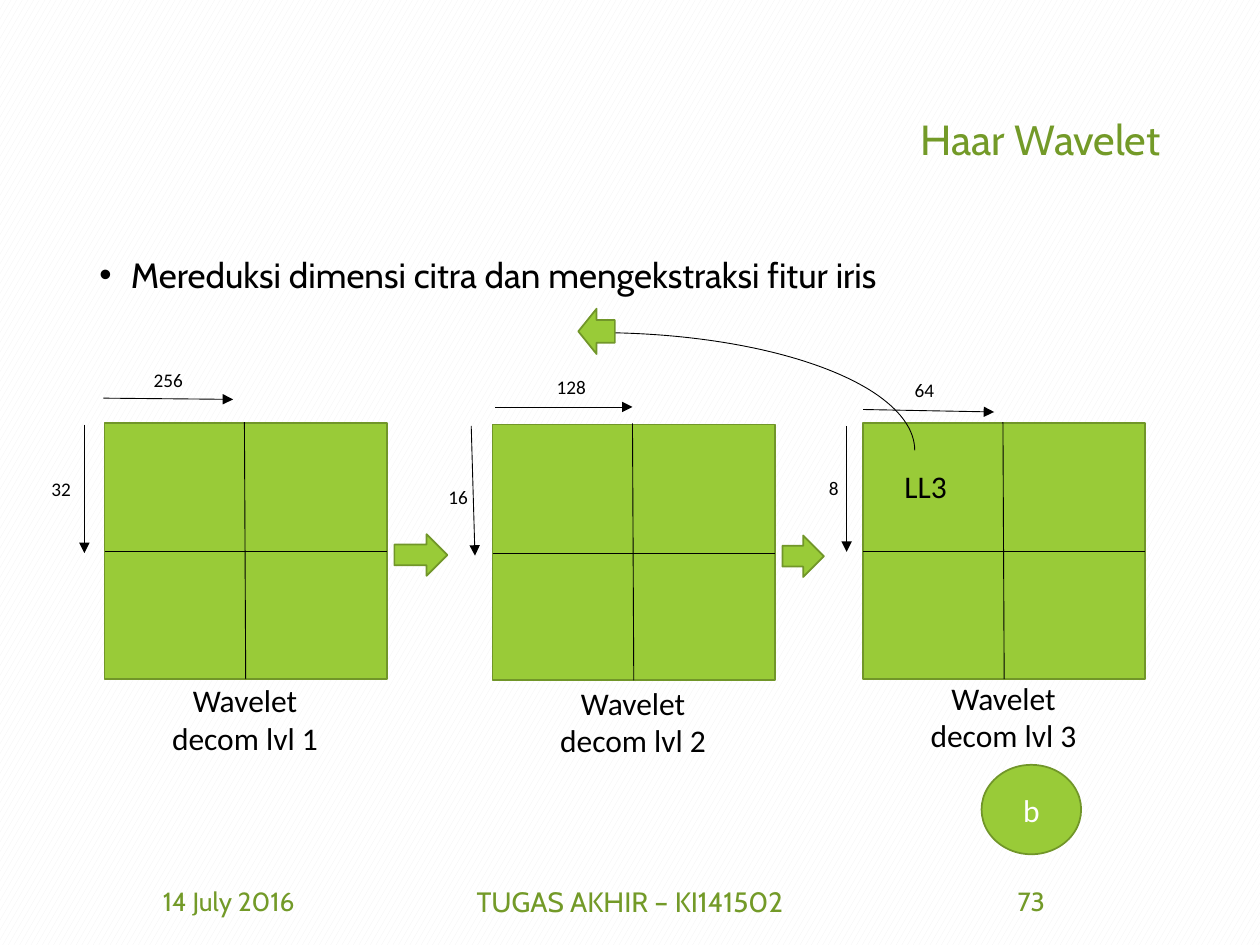
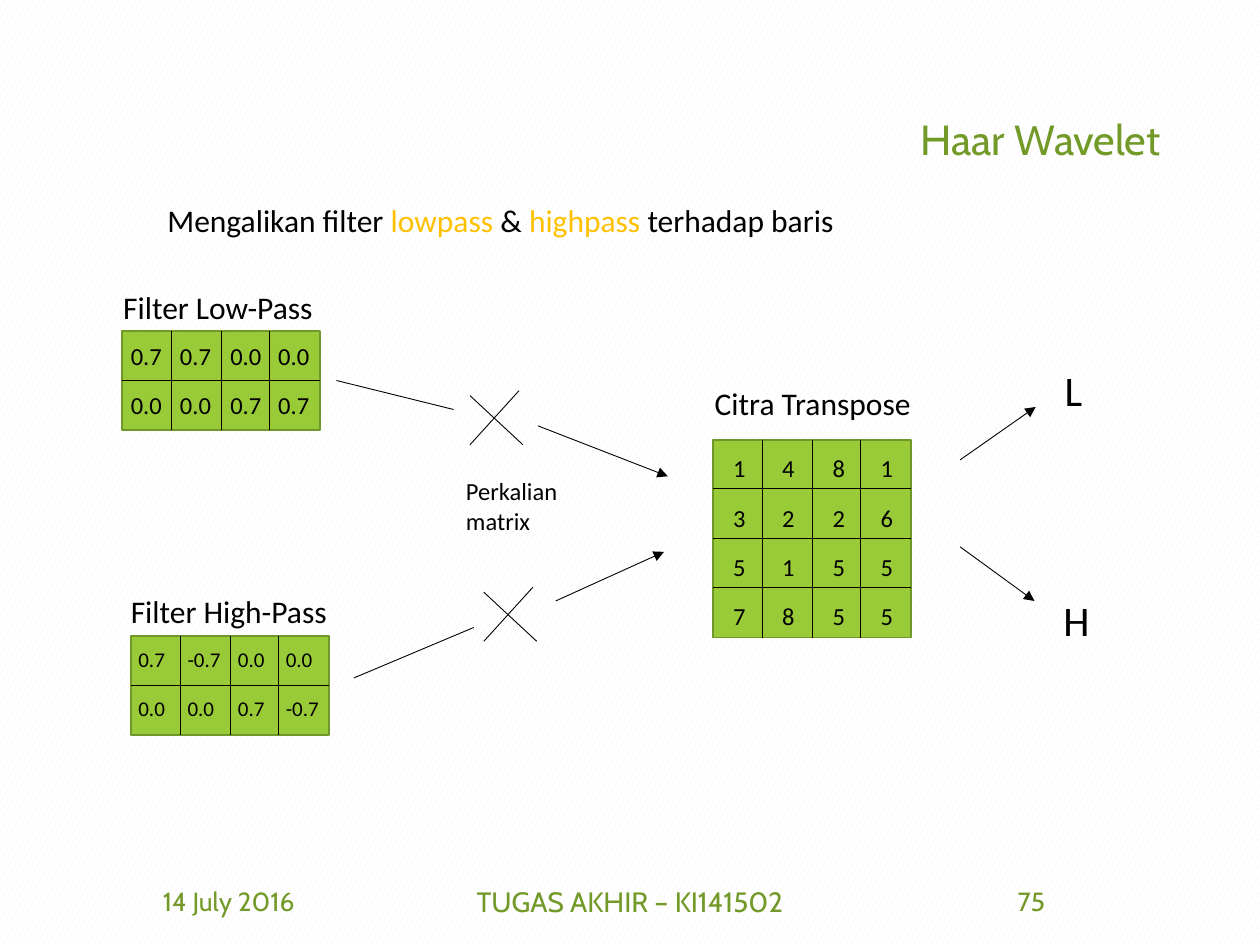
"""Build two slides that explain the Haar wavelet steps."""
from lxml import etree
from pptx import Presentation
from pptx.dml.color import RGBColor
from pptx.enum.dml import MSO_PATTERN
from pptx.enum.shapes import MSO_CONNECTOR, MSO_SHAPE
from pptx.enum.text import MSO_ANCHOR, MSO_AUTO_SIZE, PP_ALIGN
from pptx.oxml.ns import qn
from pptx.util import Inches, Pt

STRAIGHT = MSO_CONNECTOR.STRAIGHT
RECT, OVAL, ARC, ARROW = (MSO_SHAPE.RECTANGLE, MSO_SHAPE.OVAL,
                          MSO_SHAPE.ARC, MSO_SHAPE.RIGHT_ARROW)
LEFT, CENTER, RIGHT = PP_ALIGN.LEFT, PP_ALIGN.CENTER, PP_ALIGN.RIGHT
TOP, MIDDLE = MSO_ANCHOR.TOP, MSO_ANCHOR.MIDDLE
NO_AUTOFIT = MSO_AUTO_SIZE.NONE

GREEN, EDGE, HEADING = "99CB38", "719629", "739A28"
BLACK, WHITE, AMBER = "000000", "FFFFFF", "FFC000"
HEAD_FONT, BODY_FONT = "Cabin", "Calibri"
FOOTER = {"font": HEAD_FONT, "color": HEADING, "align": CENTER, "anchor": MIDDLE}

hex_color = RGBColor.from_string


def add_block(slide, box, text="", size=18, color=BLACK, font=BODY_FONT,
              align=LEFT, anchor=TOP, kind=None, right=0.1):
    """Add a text box, or a green shape of the given kind, with its text."""
    place = [Inches(value) for value in box]
    if kind is None:
        block = slide.shapes.add_textbox(*place)
    else:
        block = slide.shapes.add_shape(kind, *place)
        block.shadow.inherit = False
        block.fill.solid()
        block.fill.fore_color.rgb = hex_color(GREEN)
        block.line.color.rgb = hex_color(EDGE)
        block.line.width = Pt(1)
    frame = block.text_frame
    frame_format = {"word_wrap": True, "auto_size": NO_AUTOFIT,
                    "vertical_anchor": anchor, "margin_right": Inches(right)}
    for name, value in frame_format.items():
        setattr(frame, name, value)
    paragraph = frame.paragraphs[0]
    paragraph.alignment = align
    pieces = [(text, color)] if isinstance(text, str) else text
    for piece, piece_color in pieces:
        if piece:
            run = paragraph.add_run()
            run.text = piece
            run.font.color.rgb = hex_color(piece_color)
            for name, value in {"name": font, "size": Pt(size)}.items():
                setattr(run.font, name, value)
    return block


def add_line(slide, x1, y1, x2, y2, arrow=False):
    """Add a thin black line, with an arrowhead at its end if wanted."""
    line = slide.shapes.add_connector(
        STRAIGHT, *[Inches(value) for value in (x1, y1, x2, y2)])
    line.line.color.rgb = hex_color(BLACK)
    line.line.width = Pt(0.5)
    properties = line._element.spPr
    if arrow:
        etree.SubElement(properties.find(qn("a:ln")), qn("a:tailEnd"), type="triangle")
    etree.SubElement(properties, qn("a:effectLst"))


prs = Presentation()
prs.slide_width, prs.slide_height = Inches(10), Inches(7.5)
backdrop = prs.slide_master.background.fill
backdrop.patterned()
backdrop.pattern = MSO_PATTERN.LARGE_CONFETTI
backdrop.fore_color.rgb = hex_color("F2F2F2")
backdrop.back_color.rgb = hex_color(WHITE)

slides = []
for page in ("73", "75"):
    slide = prs.slides.add_slide(prs.slide_layouts[5])
    title = slide.shapes.title
    title_place = {"left": 0.69, "top": 0.4, "width": 8.62, "height": 1.45}
    for name, value in title_place.items():
        setattr(title, name, Inches(value))
    title.text_frame.text = "Haar Wavelet"
    title.text_frame.auto_size = NO_AUTOFIT
    title.text_frame.vertical_anchor = MIDDLE
    heading = title.text_frame.paragraphs[0]
    heading.alignment = RIGHT
    heading.line_spacing = 0.9
    heading_font = heading.runs[0].font
    heading_font.color.rgb = hex_color(HEADING)
    for name, value in {"name": HEAD_FONT, "size": Pt(24)}.items():
        setattr(heading_font, name, value)
    for left, width, text, size in ((0.69, 2.25, "14 July 2016", 15),
                                    (3.31, 3.38, "TUGAS AKHIR – KI141502", 16),
                                    (7.06, 2.25, page, 15)):
        add_block(slide, (left, 6.95, width, 0.4), text, size, **FOOTER)
    slides.append(slide)
levels_slide, filter_slide = slides

purpose = add_block(levels_slide, (0.69, 2, 8.62, 4.76),
                    "Mereduksi dimensi citra dan mengekstraksi fitur iris",
                    20, font=HEAD_FONT).text_frame.paragraphs[0]
purpose.line_spacing = 0.9
bullet_format = purpose._p.get_or_add_pPr()
for name, value in {"marL": 0.25, "indent": -0.25}.items():
    bullet_format.set(name, str(Inches(value)))
etree.SubElement(bullet_format, qn("a:buFont"), typeface="Arial")
etree.SubElement(bullet_format, qn("a:buChar"), char="•")

levels = [
    (0.83, 3.36, 5.56, "256", (1.12, 2.87), (0.82, 3.16, 1.85, 3.17),
     "32", (0.31, 3.74), (0.67, 3.37, 0.67, 4.39)),
    (3.91, 3.37, 5.58, "128", (4.32, 2.93), (3.93, 3.23, 5.02, 3.23),
     "16", (3.46, 3.8), (3.74, 3.38, 3.77, 4.41)),
    (6.85, 3.36, 5.54, "64", (7.16, 2.95), (6.85, 3.25, 7.89, 3.27),
     "8", (6.48, 3.73), (6.72, 3.38, 6.72, 4.38)),
]
for number, (left, top, caption_top, columns, columns_at, columns_arrow,
             rows, rows_at, rows_arrow) in enumerate(levels, 1):
    add_block(levels_slide, (left, top, 2.24, 2.03), kind=RECT)
    add_line(levels_slide, left + 1.11, top - 0.01, left + 1.12, top + 2.03)
    add_line(levels_slide, left, top + 1.02, left + 2.24, top + 1.02)
    add_block(levels_slide, (left + 0.3, caption_top, 1.63, 0.29),
              f"Wavelet decom lvl {number}", align=CENTER, anchor=MIDDLE)
    add_line(levels_slide, *columns_arrow, arrow=True)
    add_block(levels_slide, (*columns_at, 0.55, 0.29), columns, 11)
    add_line(levels_slide, *rows_arrow, arrow=True)
    add_block(levels_slide, (*rows_at, 0.43, 0.29), rows, 11)

for step in ((3.13, 4.24, 0.42, 0.33), (6.21, 4.25, 0.33, 0.33)):
    add_block(levels_slide, step, kind=ARROW)
feature_curve = add_block(levels_slide, (2.21, 2.64, 5.05, 1.87), kind=ARC)
feature_curve.fill.background()
feature_curve.line.color.rgb = hex_color(BLACK)
feature_curve.line.width = Pt(0.5)
feature_arrow = add_block(levels_slide, (4.59, 2.45, 0.29, 0.36), kind=ARROW)
feature_arrow.rotation = 180
add_block(levels_slide, (7.08, 3.66, 0.67, 0.4), "LL3")
add_block(levels_slide, (7.79, 6.07, 0.79, 0.71), "b", color=WHITE,
          align=CENTER, anchor=MIDDLE, kind=OVAL)

add_block(filter_slide, (1.23, 1.55, 5.59, 0.4),
          [("Mengalikan filter ", BLACK), ("lowpass", AMBER), (" & ", BLACK),
           ("highpass", AMBER), (" terhadap baris", BLACK)])

matrices = [
    ("Filter Low-Pass", LEFT, (0.88, 2.24), 0.97, 2.63, 14, -0.03, 0.03,
     ["0.7 0.7 0.0 0.0", "0.0 0.0 0.7 0.7"]),
    ("Citra Transpose", CENTER, (5.57, 3), 5.66, 3.49, 14, 0.06, 0.06,
     ["1 4 8 1", "3 2 2 6", "5 1 5 5", "7 8 5 5"]),
    ("Filter High-Pass", LEFT, (0.94, 4.65), 1.04, 5.05, 12, -0.04, 0.03,
     ["0.7 -0.7 0.0 0.0", "0.0 0.0 0.7 -0.7"]),
]
SIDE, ROW = 1.57, 0.39
COLUMN_LINES = (0.39, 0.79, 1.17)
for name, align, name_at, left, top, size, shift_x, shift_y, rows in matrices:
    height = SIDE * len(rows) / 4
    add_block(filter_slide, (left, top, SIDE, height), kind=RECT)
    for x in COLUMN_LINES:
        add_line(filter_slide, left + x, top, left + x, top + height)
    for row, values in enumerate(rows):
        y = top + row * ROW
        if row:
            add_line(filter_slide, left, y, left + SIDE, y)
        for x, value in zip((0, *COLUMN_LINES), values.split()):
            add_block(filter_slide, (left + x + shift_x, y + shift_y, 0.47, 0.34),
                      value, size, right=0)
    add_block(filter_slide, (*name_at, 1.76, 0.4), name, align=align)

for left, top in ((3.73, 3.1), (3.84, 4.66)):
    add_line(filter_slide, left, top + 0.04, left + 0.42, top + 0.43)
    add_line(filter_slide, left, top + 0.43, left + 0.39, top)
add_block(filter_slide, (3.6, 3.73, 1.46, 0.57), "Perkalian matrix", 14)

for path_line in ((2.67, 3.02, 3.6, 3.25), (2.81, 5.38, 3.76, 4.98)):
    add_line(filter_slide, *path_line)
for flow in ((4.27, 3.38, 5.3, 3.78), (4.41, 4.77, 5.27, 4.38),
             (7.62, 3.65, 8.22, 3.23), (7.62, 4.34, 8.21, 4.77)):
    add_line(filter_slide, *flow, arrow=True)
for result, left, top in (("L", 8.35, 2.84), ("H", 8.34, 4.67)):
    add_block(filter_slide, (left, top, 0.49, 0.5), result, 24)

prs.save("out.pptx")
